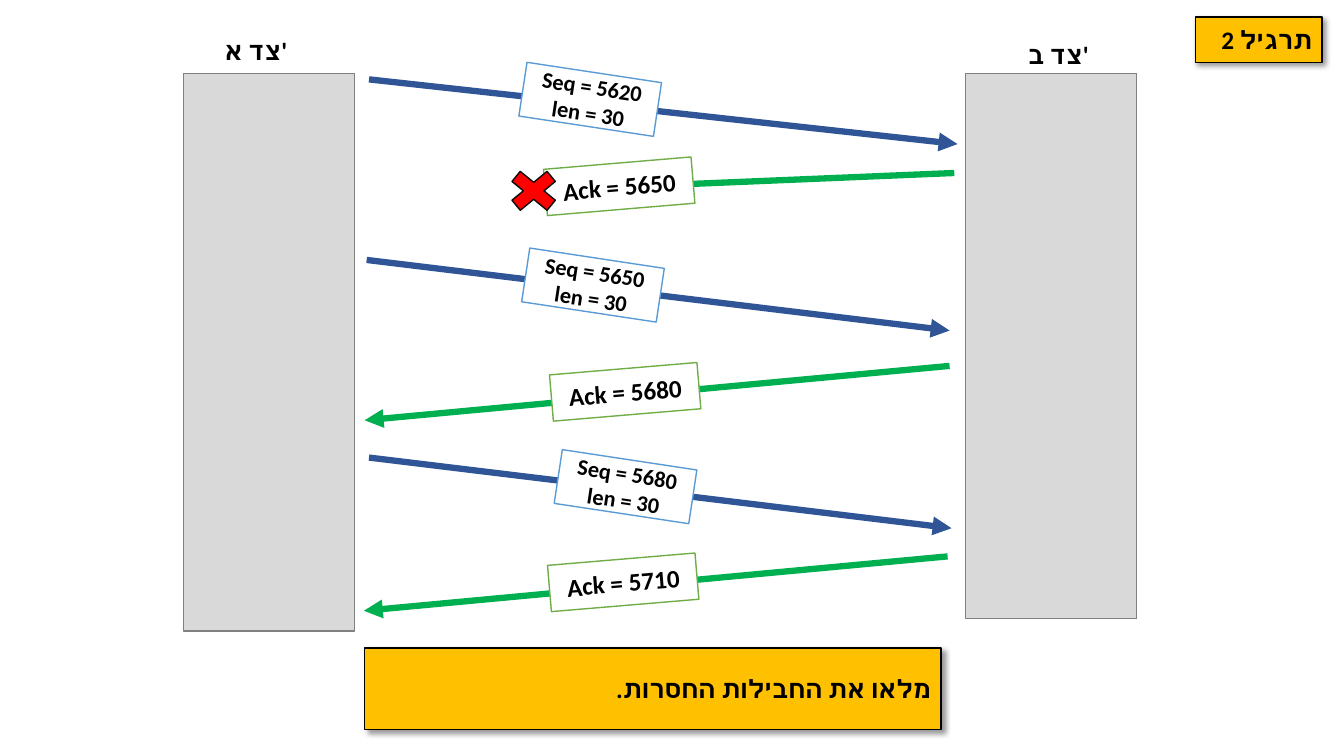
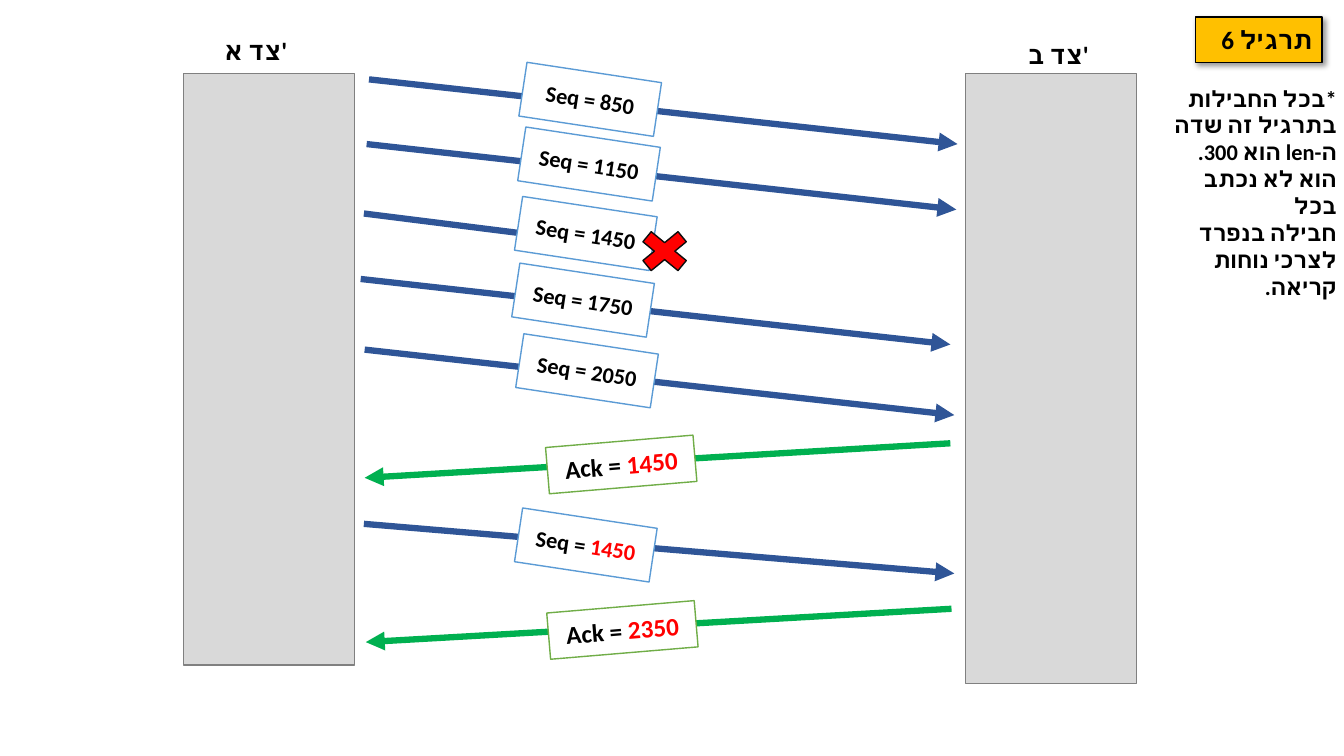
from dataclasses import dataclass

from lxml.etree import SubElement
from pptx import Presentation
from pptx.dml.color import RGBColor
from pptx.enum.shapes import MSO_CONNECTOR, MSO_SHAPE
from pptx.enum.text import MSO_ANCHOR, MSO_AUTO_SIZE, PP_ALIGN
from pptx.oxml.ns import qn
from pptx.util import Cm, Pt


@dataclass(frozen=True)
class Theme:
    font: str = "Calibri"
    text: str = "000000"
    accent: str = "FF0000"
    paper: str = "FFFFFF"
    banner: str = "FFC000"
    side_fill: str = "D9D9D9"
    side_line: str = "808080"
    cross_line: str = "0D0D0D"
    large: float = 18
    small: float = 16
    outline: float = 1
    arrow: float = 4.5


@dataclass(frozen=True)
class Box:
    """A rectangle in centimetres."""
    left: float
    top: float
    width: float
    height: float

    def inner(self, left, top, width, height):
        return Box(self.left + left, self.top + top, width, height)

    def lengths(self):
        return [Cm(n) for n in (self.left, self.top, self.width, self.height)]


@dataclass(frozen=True)
class TagStyle:
    width: float
    height: float
    rotation: float
    line: str
    arrow: str
    size: float


@dataclass(frozen=True)
class Message:
    """An arrow with a tag; points are centimetres from the lane's corner."""
    style: TagStyle
    start: tuple
    end: tuple
    tag: tuple
    text: str
    accent: str = ""


THEME = Theme()
SEQ = TagStyle(3.43, 1.37, 8.6, "5B9BD5", "2F5597", THEME.small)
ACK = TagStyle(3.73, 1.17, 355.2, "70AD47", "00B050", THEME.large)

SLIDE = Box(0, 0, 33.87, 19.05)
BADGE = Box(30.12, 0.43, 3.2, 1.14)
BANNER = Box(9.19, 16.33, 14.53, 2.06)
NOTE = Box(28.91, 2.01, 5.03, 4.37)
LANE = Box(8.94, 1.85, 15.39, 15.37)
SIDE_WIDTH = 4.32

FIRST_ARROW = dict(style=SEQ, start=(0.36, 0.15), end=(15.19, 1.78),
                   tag=(4.22, -0.03))

LOST_ACK = [
    Message(**FIRST_ARROW, text="Seq = 5620\nlen = 30"),
    Message(ACK, (15.11, 2.51), (4.5, 2.95), (4.8, 2.26), "Ack = 5650"),
    Message(SEQ, (0.3, 4.7), (14.99, 6.48), (4.29, 4.65),
            "Seq = 5650\nlen = 30"),
    Message(ACK, (14.99, 7.37), (0.25, 8.74), (4.95, 7.44), "Ack = 5680"),
    Message(SEQ, (0.36, 9.68), (15.04, 11.46), (5.11, 9.73),
            "Seq = 5680\nlen = 30"),
    Message(ACK, (14.94, 12.17), (0.23, 13.54), (4.9, 12.24), "Ack = 5710"),
]

LOST_SEQ = [
    Message(**FIRST_ARROW, text="Seq = 850"),
    Message(SEQ, (0.3, 1.78), (15.16, 3.43), (4.19, 1.6), "Seq = 1150"),
    Message(SEQ, (0.23, 3.53), (7.57, 4.45), (4.11, 3.35), "Seq = 1450"),
    Message(SEQ, (0.15, 5.18), (15.01, 6.83), (4.04, 5.03), "Seq = 1750"),
    Message(SEQ, (0.25, 6.96), (15.11, 8.61), (4.14, 6.81), "Seq = 2050"),
    Message(ACK, (15.01, 9.32), (0.25, 10.19), (4.85, 9.27),
            "Ack = ", "1450"),
    Message(SEQ, (0.23, 11.35), (15.11, 12.6), (4.11, 11.2),
            "Seq = ", "1450"),
    Message(ACK, (15.04, 13.49), (0.28, 14.33), (4.88, 13.44),
            "Ack = ", "2350"),
]

NOTE_TEXT = """*בכל החבילות
בתרגיל זה שדה
ה-len הוא 300.
הוא לא נכתב בכל
חבילה בנפרד
לצרכי נוחות קריאה."""


def add_span(para, text, size, color):
    span = para.add_run()
    span.text = text
    font = span.font
    font.name, font.size, font.bold = THEME.font, Pt(size), True
    font.color.rgb = RGBColor.from_string(color)
    SubElement(font._element, qn("a:cs"), typeface=THEME.font)


def write(shape, text, *, accent="", size=THEME.large, align=PP_ALIGN.CENTER,
          rtl=False, anchor=MSO_ANCHOR.MIDDLE):
    """Write one paragraph a line; accent is coloured text after the last."""
    frame = shape.text_frame
    frame.word_wrap = True
    frame.auto_size = MSO_AUTO_SIZE.NONE
    frame.vertical_anchor = anchor
    for number, line in enumerate(text.split("\n")):
        para = frame.add_paragraph() if number else frame.paragraphs[0]
        para.alignment = align
        para.line_spacing = 1.0
        if rtl:
            para._p.get_or_add_pPr().set("rtl", "1")
        add_span(para, line, size, THEME.text)
    if accent:
        add_span(para, accent, size, THEME.accent)


def paint(shape, fill, line):
    shape.shadow.inherit = False
    shape.fill.solid()
    shape.fill.fore_color.rgb = RGBColor.from_string(fill)
    shape.line.color.rgb = RGBColor.from_string(line)
    shape.line.width = Pt(THEME.outline)


def add_block(page, box, fill, line, kind=MSO_SHAPE.RECTANGLE):
    shape = page.shapes.add_shape(kind, *box.lengths())
    paint(shape, fill, line)
    return shape


def style_banner(shape, text):
    """Give a shape the yellow look with a soft shadow."""
    paint(shape, THEME.banner, THEME.text)
    effects = shape._element.spPr.find(qn("a:effectLst"))
    shadow = SubElement(effects, qn("a:outerShdw"), blurRad=str(Pt(4)),
                        dist=str(Pt(3)), dir="2700000", algn="tl",
                        rotWithShape="0")
    color = SubElement(shadow, qn("a:srgbClr"), val=THEME.text)
    SubElement(color, qn("a:alpha"), val="40000")
    write(shape, text, align=PP_ALIGN.RIGHT, rtl=True)


def add_title(page, box, text):
    title = page.shapes.title
    title.left, title.top, title.width, title.height = box.lengths()
    style_banner(title, text)


def add_banner(page, box, text):
    style_banner(page.shapes.add_shape(MSO_SHAPE.RECTANGLE, *box.lengths()),
                 text)


def add_side(page, box, name, label_left, label_top):
    """Draw one party's column, with its name above it."""
    label = box.inner(label_left, label_top, 3.96, 0.94)
    write(page.shapes.add_textbox(*label.lengths()), name)
    add_block(page, box, THEME.side_fill, THEME.side_line)


def add_arrow(page, box, message):
    ends = [Cm(n) for x, y in (message.start, message.end)
            for n in (box.left + x, box.top + y)]
    arrow = page.shapes.add_connector(MSO_CONNECTOR.STRAIGHT, *ends)
    arrow.line.color.rgb = RGBColor.from_string(message.style.arrow)
    arrow.line.width = Pt(THEME.arrow)
    SubElement(arrow.line._get_or_add_ln(), qn("a:tailEnd"), type="triangle")
    SubElement(arrow._element.spPr, qn("a:effectLst"))


def add_message(page, box, message):
    add_arrow(page, box, message)
    style = message.style
    tag = add_block(page, box.inner(*message.tag, style.width, style.height),
                    THEME.paper, style.line)
    tag.rotation = style.rotation
    write(tag, message.text, accent=message.accent, size=style.size)


def add_exchange(page, box, messages, cross, heights):
    """Draw both sides around the lane, its messages and the loss mark."""
    left_height, right_height = heights
    add_side(page, box.inner(-SIDE_WIDTH, 0, SIDE_WIDTH, left_height),
             "צד א'", -0.15, -1.06)
    add_side(page, box.inner(box.width, 0, SIDE_WIDTH, right_height),
             "צד ב'", 0.36, -0.94)
    for message in messages:
        add_message(page, box, message)
    add_block(page, box.inner(*cross, 1.7, 1.4), THEME.accent,
              THEME.cross_line, MSO_SHAPE.MATH_MULTIPLY)


def add_note(page, box, text):
    write(page.shapes.add_textbox(*box.lengths()), text, size=THEME.small,
          align=PP_ALIGN.RIGHT, rtl=True, anchor=MSO_ANCHOR.TOP)


def add_exercise(deck, title, messages, cross, heights):
    page = deck.slides.add_slide(deck.slide_layouts[5])
    add_title(page, BADGE, title)
    add_exchange(page, LANE, messages, cross, heights)
    return page


def main():
    deck = Presentation()
    deck.slide_width, deck.slide_height = Cm(SLIDE.width), Cm(SLIDE.height)

    page = add_exercise(deck, "תרגיל 2", LOST_ACK, (3.66, 2.26),
                        (14.05, 13.74))
    add_banner(page, BANNER, "מלאו את החבילות החסרות.")

    page = add_exercise(deck, "תרגיל 6", LOST_SEQ, (6.96, 3.78),
                        (14.91, 15.37))
    add_note(page, NOTE, NOTE_TEXT)

    deck.save("out.pptx")


if __name__ == "__main__":
    main()
